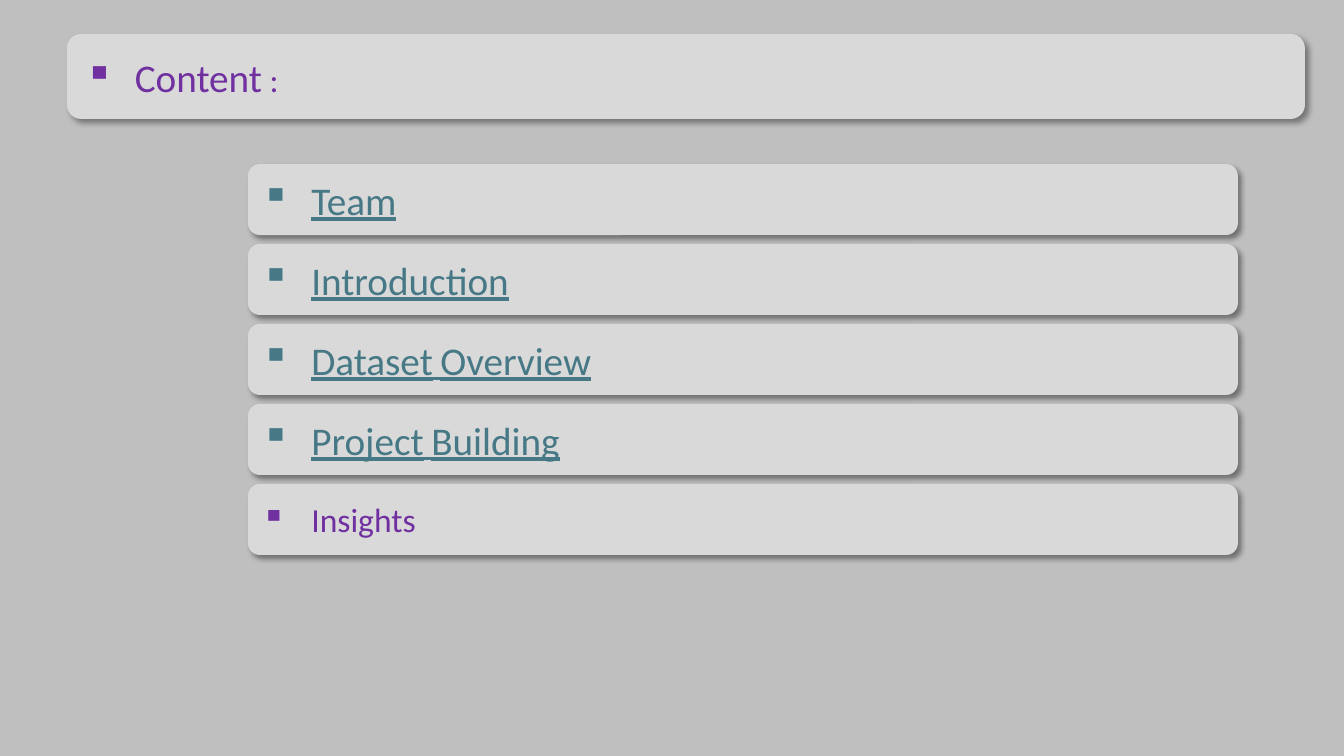
from lxml.etree import SubElement
from pptx import Presentation
from pptx.dml.color import RGBColor
from pptx.enum.shapes import MSO_SHAPE as SHAPE
from pptx.enum.text import MSO_ANCHOR as ANCHOR, PP_ALIGN as ALIGN
from pptx.oxml.ns import qn
from pptx.util import Pt

BACKGROUND = RGBColor(0xBF, 0xBF, 0xBF)
PANEL = RGBColor(0xD9, 0xD9, 0xD9)
PURPLE = RGBColor(0x70, 0x30, 0xA0)
TEAL = RGBColor(0x46, 0x78, 0x86)

FONT = "Calibri"
TITLE = [("Content", 28), (" :", 24)]
TOPICS = [
    ([("Team", 28)], TEAL, True),
    ([("Introduction", 28)], TEAL, True),
    ([("Dataset", 28), (" ", 24), ("Overview", 28)], TEAL, True),
    ([("Project", 28), (" ", 24), ("Building", 28)], TEAL, True),
    ([("Insights", 24)], PURPLE, False),
]

PX = 12192000 / 1344
INDENT = 50
TITLE_PANEL = (67, 34, 1238, 85)
TITLE_TEXT = (75, 52, 1238, 50)
TOPIC_LEFT, TOPIC_TOP, TOPIC_W, TOPIC_H = 248, 164, 990, 71
TOPIC_PITCH = 80


def px(n):
    return round(n * PX)


def fill_shadow(effects):
    shadow = SubElement(effects, qn("a:outerShdw"), blurRad=str(Pt(4)),
                        dist=str(Pt(3)), dir="2700000", algn="tl", rotWithShape="0")
    color = SubElement(shadow, qn("a:srgbClr"), val="000000")
    SubElement(color, qn("a:alpha"), val="40000")


def add_panel(slide, box):
    sp = slide.shapes.add_shape(SHAPE.ROUNDED_RECTANGLE, *map(px, box))
    sp.fill.solid()
    sp.fill.fore_color.rgb = PANEL
    sp.line.fill.background()
    sp.shadow.inherit = False
    fill_shadow(sp._element.spPr.find(qn("a:effectLst")))
    return sp


def write_bullet(sp, parts, color, underline):
    tf = sp.text_frame
    tf.word_wrap = True
    tf.vertical_anchor = ANCHOR.MIDDLE
    p = tf.paragraphs[0]
    p.alignment = ALIGN.LEFT
    pPr = p._p.get_or_add_pPr()
    pPr.set("marL", str(px(INDENT)))
    pPr.set("indent", str(-px(INDENT)))
    SubElement(pPr, qn("a:buChar"), char="▪")
    for text, size in parts:
        r = p.add_run()
        r.text = text
        r.font.name = FONT
        r.font.size = Pt(size)
        r.font.color.rgb = color
        if underline:
            r.font.underline = True
    return p


prs = Presentation()
prs.slide_width, prs.slide_height = px(1344), px(756)
slide = prs.slides.add_slide(prs.slide_layouts[6])
slide.background.fill.solid()
slide.background.fill.fore_color.rgb = BACKGROUND

add_panel(slide, TITLE_PANEL)
for i, (parts, color, underline) in enumerate(TOPICS):
    box = (TOPIC_LEFT, TOPIC_TOP + i * TOPIC_PITCH, TOPIC_W, TOPIC_H)
    write_bullet(add_panel(slide, box), parts, color, underline)

title = slide.shapes.add_textbox(*map(px, TITLE_TEXT))
p = write_bullet(title, TITLE, PURPLE, False)
rPr = p.runs[0]._r.get_or_add_rPr()
effects = SubElement(rPr, qn("a:effectLst"))
rPr.find(qn("a:solidFill")).addnext(effects)
fill_shadow(effects)

prs.save("out.pptx")
